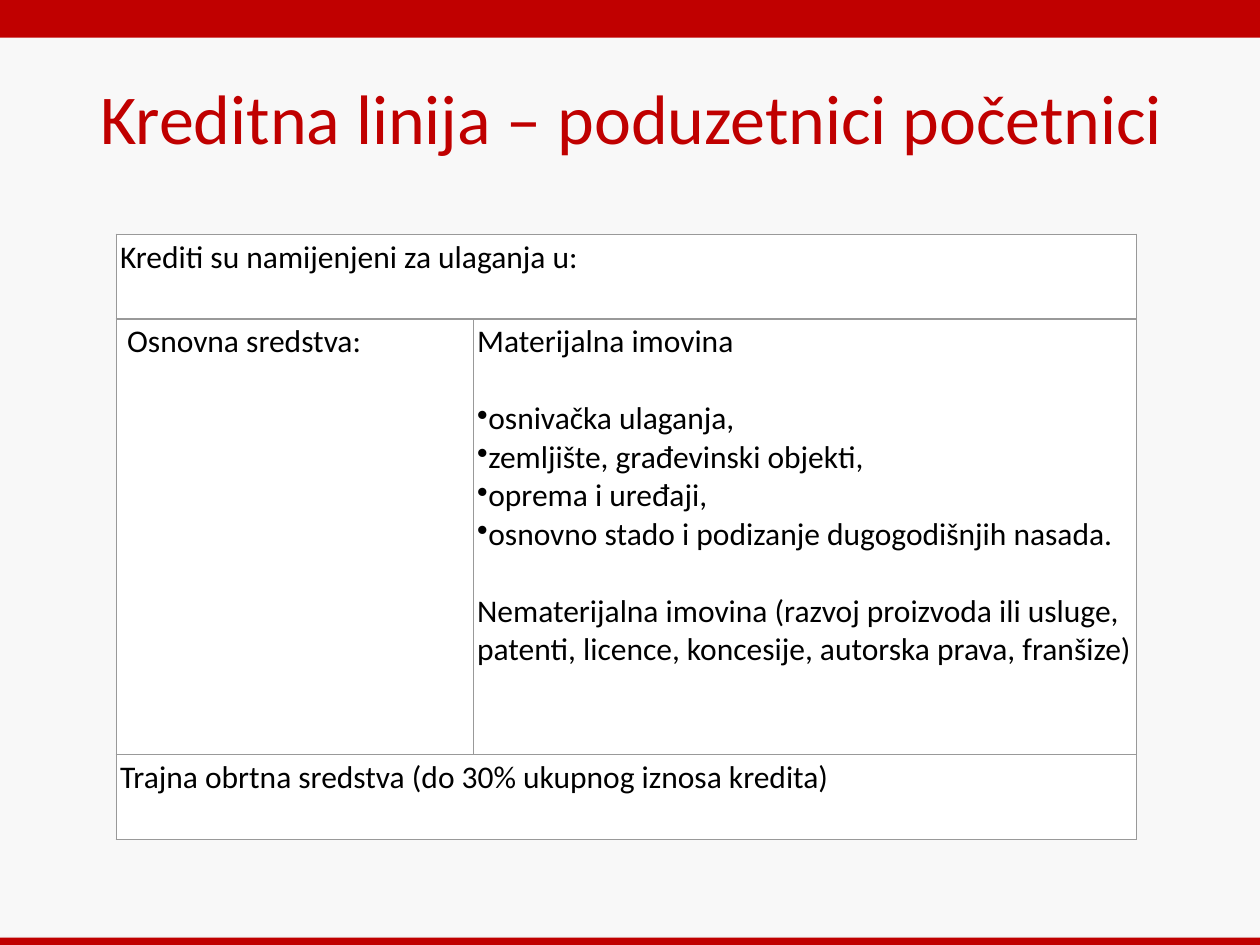
import pptx
import pptx.dml.color
import pptx.enum.shapes
import pptx.enum.text
import pptx.oxml
import pptx.oxml.ns
import pptx.util
from lxml import etree

Cm = pptx.util.Cm
Pt = pptx.util.Pt
RGBColor = pptx.dml.color.RGBColor
qn = pptx.oxml.ns.qn

RED = RGBColor(0xC0, 0x00, 0x00)
PAPER = RGBColor(0xF8, 0xF8, 0xF8)
WHITE = RGBColor(0xFF, 0xFF, 0xFF)
BLACK = RGBColor(0x00, 0x00, 0x00)
GREY = RGBColor(0x99, 0x99, 0x99)

LINE_GAP = 22
COLUMNS = (7.2, 13.37)
ROWS = (1.71, 8.78, 1.71)
ASSETS = [
    # text, bulleted, space after in points
    ("Materijalna imovina", False, LINE_GAP),
    ("osnivačka ulaganja,", True, 0),
    ("zemljište, građevinski objekti,", True, 0),
    ("oprema i uređaji,", True, 0),
    ("osnovno stado i podizanje dugogodišnjih nasada.", True, LINE_GAP),
    ("Nematerijalna imovina (razvoj proizvoda ili usluge, patenti, licence, "
     "koncesije, autorska prava, franšize)", False, 0),
]


class SlideBuilder:
    """Holds the style and the current slide."""

    font = "Calibri"
    inset = Cm(0.08)

    def __init__(self, page):
        """Take the page and paint its background."""
        self.page = page
        page.background.fill.solid()
        page.background.fill.fore_color.rgb = PAPER

    def span(self, para, text, size, color):
        """Add one formatted run to a paragraph."""
        span = para.add_run()
        span.text = text
        span.font.name = self.font
        span.font.size = Pt(size)
        span.font.color.rgb = color

    def title(self, text, left, top, width, height):
        """Move and fill the title placeholder."""
        box = self.page.shapes.title
        box.left, box.top, box.width, box.height = map(Cm, (left, top, width, height))
        box.text_frame.vertical_anchor = pptx.enum.text.MSO_ANCHOR.MIDDLE
        para = box.text_frame.paragraphs[0]
        para.alignment = pptx.enum.text.PP_ALIGN.CENTER
        self.span(para, text, 40, RED)

    def bar(self, top, height):
        """Draw a red band across the full width and return it."""
        box = self.page.shapes.add_shape(
            pptx.enum.shapes.MSO_SHAPE.RECTANGLE, 0, Cm(top), Cm(25.4), Cm(height))
        box.shadow.inherit = False
        box.fill.solid()
        box.fill.fore_color.rgb = RED
        box.line.fill.background()
        return box

    def shadow(self, box):
        """Give a shape a soft shadow below it."""
        effects = box._element.spPr.find(qn("a:effectLst"))
        outer = etree.SubElement(effects, qn("a:outerShdw"), blurRad=str(Pt(3.1)),
                                 dist=str(Pt(1.8)), dir="5400000", rotWithShape="0")
        color = etree.SubElement(outer, qn("a:srgbClr"), val=str(BLACK))
        etree.SubElement(color, qn("a:alpha"), val="35000")

    def table(self, left, top, columns, rows):
        """Add a plain white table with thin grey borders."""
        frame = self.page.shapes.add_table(len(rows), len(columns), Cm(left), Cm(top),
                                           Cm(sum(columns)), Cm(sum(rows)))
        table = frame.table
        table.first_row = table.horz_banding = False
        for column, width in zip(table.columns, columns):
            column.width = Cm(width)
        for row, height in zip(table.rows, rows):
            row.height = Cm(height)
        for cell in table.iter_cells():
            cell.fill.solid()
            cell.fill.fore_color.rgb = WHITE
            cell.margin_left = cell.margin_right = self.inset
            cell.margin_top = cell.margin_bottom = self.inset
            self.borders(cell)
        return table

    def borders(self, cell):
        """Line all four sides of a cell."""
        properties = cell._tc.get_or_add_tcPr()
        for place, side in enumerate(("a:lnL", "a:lnR", "a:lnT", "a:lnB")):
            line = etree.Element(qn(side), w=str(Pt(0.75)))
            fill = etree.SubElement(line, qn("a:solidFill"))
            etree.SubElement(fill, qn("a:srgbClr"), val=str(GREY))
            properties.insert(place, line)

    def fill_cell(self, cell, lines):
        """Write (text, bulleted, space after) lines into a cell."""
        for number, (text, bulleted, gap) in enumerate(lines):
            frame = cell.text_frame
            para = frame.add_paragraph() if number else frame.paragraphs[0]
            para.space_after = Pt(gap)
            if bulleted:
                properties = para._p.get_or_add_pPr()
                properties.set("marL", "0")
                properties.set("indent", "0")
                etree.SubElement(properties, qn("a:buChar"), char="•")
            self.span(para, text, 18, BLACK)


def main():
    """Build and save the deck."""
    deck = pptx.Presentation()
    deck.slide_width, deck.slide_height = Cm(25.4), Cm(19.05)
    builder = SlideBuilder(deck.slides.add_slide(deck.slide_layouts[5]))

    builder.bar(-0.08, 0.84)
    builder.shadow(builder.bar(18.9, 0.15))
    builder.title("Kreditna linija – poduzetnici početnici", 1.35, 0.76, 22.76, 3.18)

    table = builder.table(2.34, 4.72, COLUMNS, ROWS)
    for row in (0, 2):
        table.cell(row, 0).merge(table.cell(row, 1))
    builder.fill_cell(table.cell(0, 0), [("Krediti su namijenjeni za ulaganja u:", False, 0)])
    builder.fill_cell(table.cell(1, 0), [("\u00a0Osnovna sredstva:", False, 0)])
    builder.fill_cell(table.cell(1, 1), ASSETS)
    builder.fill_cell(table.cell(2, 0),
                      [("Trajna obrtna sredstva (do 30% ukupnog iznosa kredita)", False, 0)])
    deck.save("out.pptx")


main()
